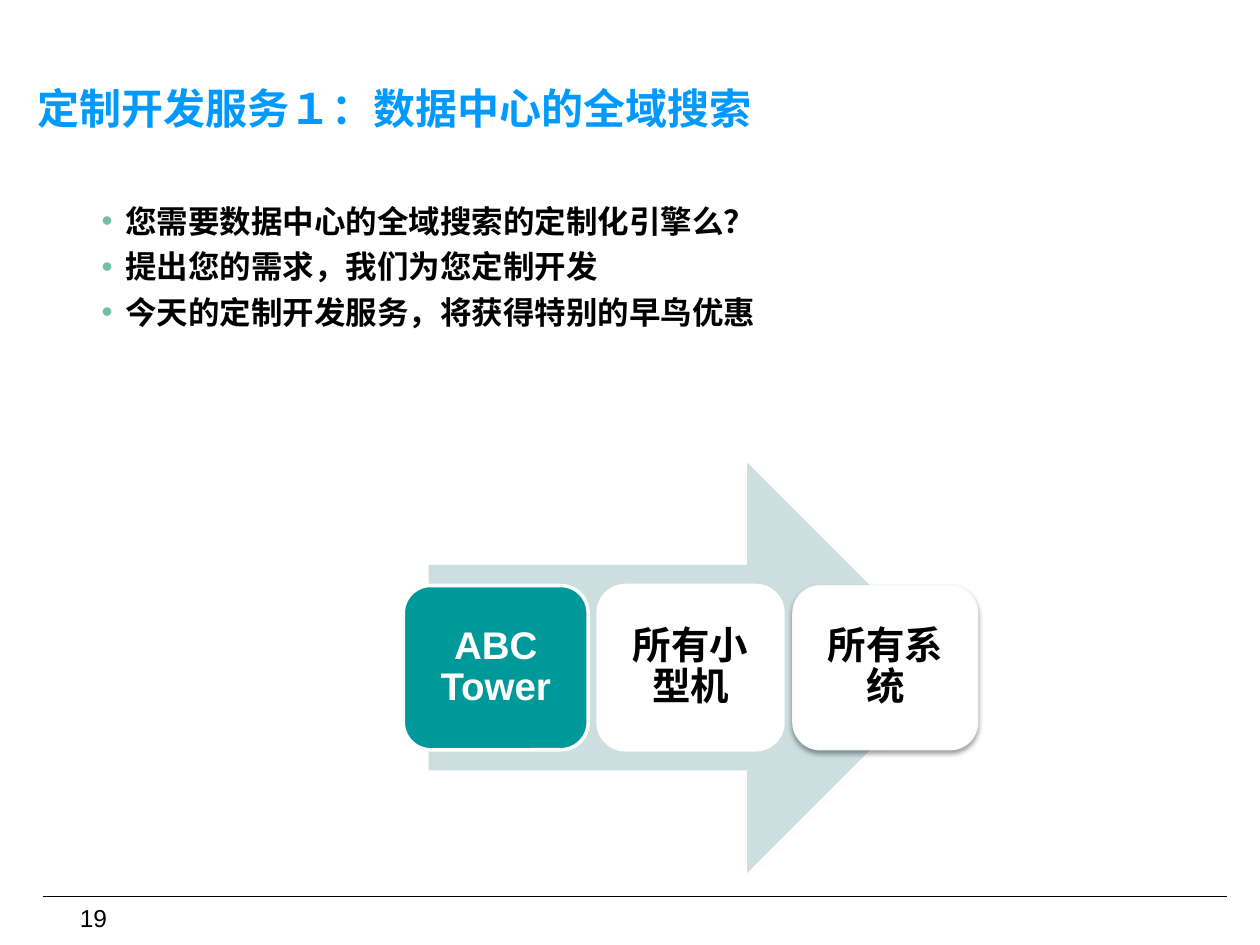
from lxml.etree import SubElement
from pptx import Presentation
from pptx.dml.color import RGBColor
from pptx.enum.shapes import MSO_CONNECTOR as Connector, MSO_SHAPE as Shape
from pptx.enum.text import MSO_ANCHOR as Anchor, MSO_AUTO_SIZE as AutoSize, PP_ALIGN as Align
from pptx.oxml.ns import qn
from pptx.util import Cm, Pt

BLACK = RGBColor(0x00, 0x00, 0x00)
WHITE = RGBColor(0xFF, 0xFF, 0xFF)
BLUE = RGBColor(0x00, 0x99, 0xFF)
TEAL = RGBColor(0x00, 0x99, 0x99)
PALE_TEAL = RGBColor(0xCC, 0xDE, 0xDE)
MINT = RGBColor(0x71, 0xBF, 0xA7)
NEAR_WHITE = RGBColor(0xF9, 0xF9, 0xF9)

BULLETS = [
    "您需要数据中心的全域搜索的定制化引擎么？",
    "提出您的需求，我们为您定制开发",
    "今天的定制开发服务，将获得特别的早鸟优惠",
]
CARDS = [
    ("ABC Tower", TEAL, WHITE, WHITE, 2, False),
    ("所有小型机", WHITE, BLACK, WHITE, 2, False),
    ("所有系统", WHITE, BLACK, NEAR_WHITE, 0.75, True),
]


def add_span(para, text, size, color, bold=True, font="Arial"):
    """Add one formatted run to a paragraph."""
    span = para.add_run()
    span.text = text
    span.font.size = Pt(size)
    span.font.bold = bold
    span.font.name = font
    span.font.color.rgb = color


def add_bullet(para, indent, color):
    """Give a paragraph a hanging, coloured bullet."""
    props = para._p.get_or_add_pPr()
    props.set("marL", str(indent))
    props.set("indent", str(-indent))
    SubElement(SubElement(props, qn("a:buClr")), qn("a:srgbClr"), val=str(color))
    SubElement(props, qn("a:buFont"), typeface="Arial")
    SubElement(props, qn("a:buChar"), char="•")


def add_drop_shadow(shape):
    """Put a soft black shadow below a shape."""
    effects = shape._element.spPr.find(qn("a:effectLst"))
    shadow = SubElement(effects, qn("a:outerShdw"), blurRad=str(Pt(3.1)),
                        dist=str(Pt(1.6)), dir="5400000", rotWithShape="0")
    color = SubElement(shadow, qn("a:srgbClr"), val=str(BLACK))
    SubElement(color, qn("a:alpha"), val="38000")


def place_title(page, left, top, width, height):
    """Move and fill the title placeholder."""
    title = page.shapes.title
    title.left, title.top, title.width, title.height = left, top, width, height
    frame = title.text_frame
    frame.auto_size = AutoSize.NONE
    frame.vertical_anchor = Anchor.TOP
    para = frame.paragraphs[0]
    para.alignment = Align.LEFT
    para.line_spacing = 0.9
    add_span(para, "定制开发服务１：数据中心的全域搜索", 24, BLUE)


def place_bullets(page, left, top, width, height):
    """Write the bulleted list."""
    frame = page.shapes.add_textbox(left, top, width, height).text_frame
    frame.word_wrap = True
    for index, text in enumerate(BULLETS):
        para = frame.add_paragraph() if index else frame.paragraphs[0]
        para.space_before = Pt(4.5 if index else 0)
        add_bullet(para, Cm(0.48), MINT)
        add_span(para, text, 18, BLACK, font="Arial Narrow")


def place_card(page, left, top, width, height, card):
    """Draw one rounded card with its label."""
    text, fill, ink, edge, weight, raised = card
    box = page.shapes.add_shape(Shape.ROUNDED_RECTANGLE, left, top, width, height)
    box.shadow.inherit = False
    box.fill.solid()
    box.fill.fore_color.rgb = fill
    box.line.color.rgb = edge
    box.line.width = Pt(weight)
    if raised:
        add_drop_shadow(box)
    frame = box.text_frame
    frame.word_wrap = True
    frame.vertical_anchor = Anchor.MIDDLE
    frame.margin_left = frame.margin_right = Cm(0.23)
    frame.margin_top = frame.margin_bottom = Cm(0.23)
    para = frame.paragraphs[0]
    para.alignment = Align.CENTER
    para.line_spacing = 0.9
    add_span(para, text, 22, ink)


def place_process(page, left, top, width, height):
    """Draw the arrow and spread the cards evenly across it."""
    inset = Cm(0.51)
    arrow = page.shapes.add_shape(Shape.RIGHT_ARROW, left + inset, top,
                                  width - 2 * inset, height)
    arrow.shadow.inherit = False
    arrow.fill.solid()
    arrow.fill.fore_color.rgb = PALE_TEAL
    arrow.line.fill.background()
    gap = Cm(0.2)
    card_width = (width - gap * (len(CARDS) - 1)) // len(CARDS)
    for index, card in enumerate(CARDS):
        place_card(page, left + index * (card_width + gap), top + int(height * 0.3),
                   card_width, int(height * 0.4), card)


def place_footer(page, left, top, width, height):
    """Draw the footer rule and the page number below it."""
    rule = page.shapes.add_connector(Connector.STRAIGHT, left, top, left + width, top)
    rule.line.color.rgb = BLACK
    rule.line.width = Pt(0.75)
    SubElement(rule._element.spPr, qn("a:effectLst"))
    number = page.shapes.add_textbox(left - Cm(0.2), top, Cm(1.75), height)
    number.text_frame.word_wrap = True
    para = number.text_frame.paragraphs[0]
    para.alignment = Align.RIGHT
    add_span(para, "19", 14, BLACK, bold=False)


def main():
    """Build and save the deck."""
    deck = Presentation()
    deck.slide_width, deck.slide_height = Cm(25.4), Cm(19.05)
    page = deck.slides.add_slide(deck.slide_layouts[5])
    place_footer(page, Cm(0.86), Cm(18.08), Cm(23.88), Cm(0.97))
    place_title(page, Cm(0.51), Cm(1.65), Cm(24.13), Cm(1.68))
    place_bullets(page, Cm(1.8), Cm(3.94), Cm(19.6), Cm(3.33))
    place_process(page, Cm(8.13), Cm(9.32), Cm(11.58), Cm(8.28))
    deck.save("out.pptx")


if __name__ == "__main__":
    main()
